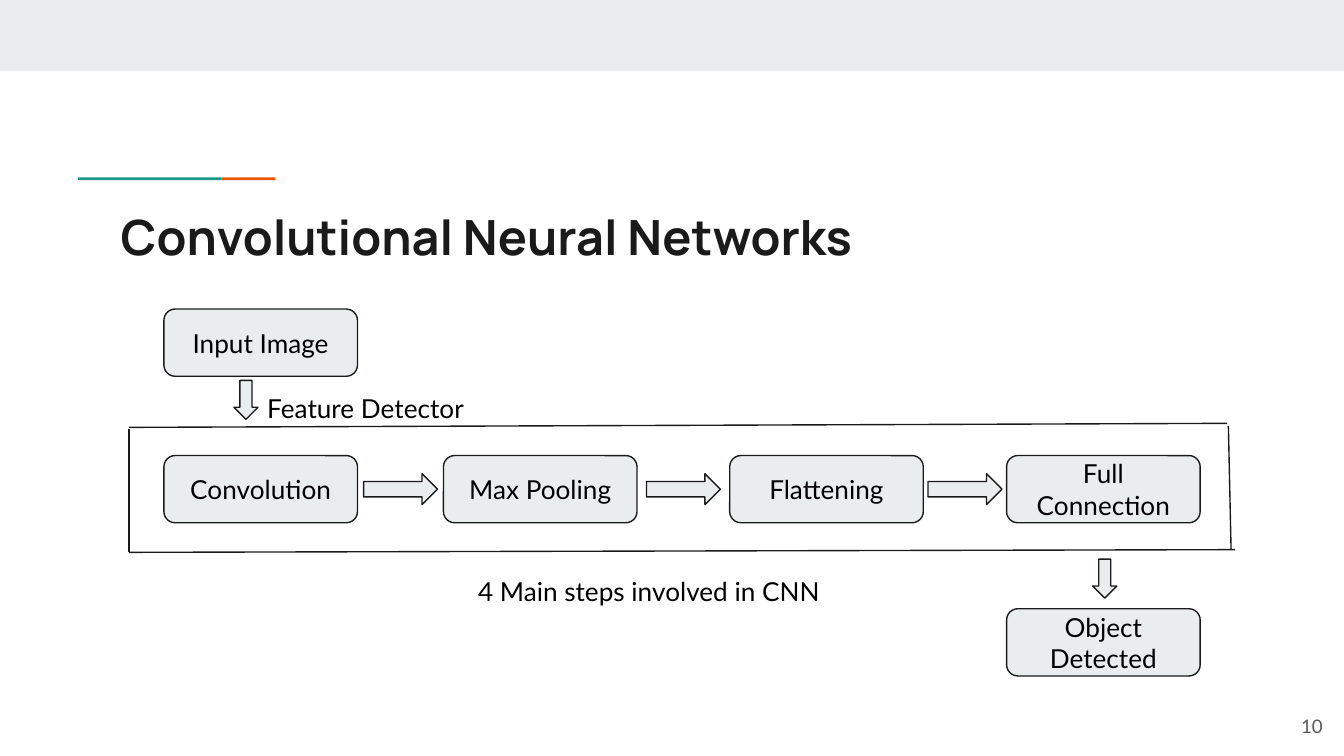
from pptx import Presentation
from pptx.dml.color import RGBColor
from pptx.enum.shapes import MSO_CONNECTOR, MSO_SHAPE
from pptx.enum.text import MSO_ANCHOR, PP_ALIGN
from pptx.oxml.ns import qn
from pptx.util import Inches, Pt
from lxml.etree import SubElement

THEME = {
    "pale": "E9EDEE", "teal": "1A9988", "warm": "EB5600",
    "ink": "1A1A1A", "text": "000000", "gray": "595959",
    "head": "Manrope", "body": "Lato",
    "big": 26, "mid": 14, "low": 10, "line": 0.75,
}
WIDE = 10
HIGH = WIDE * 9 / 16
COLS = (1.22, 3.3, 5.43, 7.49)
ROWS = (2.3, 3.39, 4.53)
BOX = (1.44, 0.5)
SIDE = (0.55, 0.23)
DOWN = (0.18, 0.29)

NODES = [
    ("Input Image", 0, 0),
    ("Convolution", 0, 1),
    ("Max Pooling", 1, 1),
    ("Flattening", 2, 1),
    ("Full Connection", 3, 1),
    ("Object Detected", 3, 2),
]
BANDS = [
    ((0, 0, WIDE, 0.53), "pale"),
    ((0.58, 1.32, 1.07, 0.02), "teal"),
    ((1.65, 1.32, 0.4, 0.02), "warm"),
]
DROPS = [(1.74, 2.83), (8.13, 4.16)]
FRAME = [
    (0.96, 4.11, 9.19, 4.09),
    (0.96, 3.19, 0.96, 4.11),
    (0.96, 3.18, 9.13, 3.15),
    (9.14, 3.17, 9.16, 4.09),
]
LEFT, MID, RIGHT = PP_ALIGN.LEFT, PP_ALIGN.CENTER, PP_ALIGN.RIGHT
TOP, HALF = MSO_ANCHOR.TOP, MSO_ANCHOR.MIDDLE
NOTES = [
    ("Convolutional Neural Networks", (0.8, 1.44, 8.41, 0.59),
     "head", "big", "ink", True, LEFT, TOP),
    ("Feature Detector", (1.89, 2.82, 2.16, 0.2),
     "body", "mid", "text", False, LEFT, TOP),
    ("4 Main steps involved in CNN", (3.23, 4.18, 3.2, 0.43),
     "body", "mid", "text", False, MID, TOP),
    ("10", (9.34, 5.19, 0.6, 0.43),
     "body", "low", "gray", False, RIGHT, HALF),
]


def tint(name):
    return RGBColor.from_string(THEME[name])


def place(area):
    return [Inches(x) for x in area]


def write(shape, words, face, size, color, bold, align, anchor):
    frame = shape.text_frame
    frame.word_wrap = True
    frame.vertical_anchor = anchor
    frame.margin_left = frame.margin_right = Inches(0.1)
    frame.margin_top = frame.margin_bottom = Inches(0.1)
    para = frame.paragraphs[0]
    para.alignment = align
    run = para.add_run()
    run.text = words
    run.font.name = THEME[face]
    run.font.size = Pt(THEME[size])
    run.font.bold = bold
    run.font.color.rgb = tint(color)


def draw(slide, kind, area, fill="pale", edge=True):
    shape = slide.shapes.add_shape(kind, *place(area))
    shape.shadow.inherit = False
    shape.fill.solid()
    shape.fill.fore_color.rgb = tint(fill)
    if edge:
        shape.line.color.rgb = tint("ink")
        shape.line.width = Pt(THEME["line"])
    else:
        shape.line.fill.background()
    return shape


def rule(slide, ends):
    line = slide.shapes.add_connector(MSO_CONNECTOR.STRAIGHT, *place(ends))
    line.line.color.rgb = tint("ink")
    line.line.width = Pt(THEME["line"])
    SubElement(line._element.spPr, qn("a:effectLst"))


def main():
    deck = Presentation()
    deck.slide_width, deck.slide_height = Inches(WIDE), Inches(HIGH)
    slide = deck.slides.add_slide(deck.slide_layouts[6])

    for area, fill in BANDS:
        draw(slide, MSO_SHAPE.RECTANGLE, area, fill, False)

    for words, col, row in NODES:
        area = (COLS[col], ROWS[row], *BOX)
        node = draw(slide, MSO_SHAPE.ROUNDED_RECTANGLE, area)
        write(node, words, "body", "mid", "text", False, MID, HALF)

    for start, end in zip(COLS, COLS[1:]):
        left = (start + BOX[0] + end - SIDE[0]) / 2
        top = ROWS[1] + (BOX[1] - SIDE[1]) / 2
        draw(slide, MSO_SHAPE.RIGHT_ARROW, (left, top, *SIDE))

    for spot in DROPS:
        draw(slide, MSO_SHAPE.DOWN_ARROW, (*spot, *DOWN))

    for ends in FRAME:
        rule(slide, ends)

    for words, area, *style in NOTES:
        write(slide.shapes.add_textbox(*place(area)), words, *style)

    deck.save("out.pptx")


if __name__ == "__main__":
    main()
